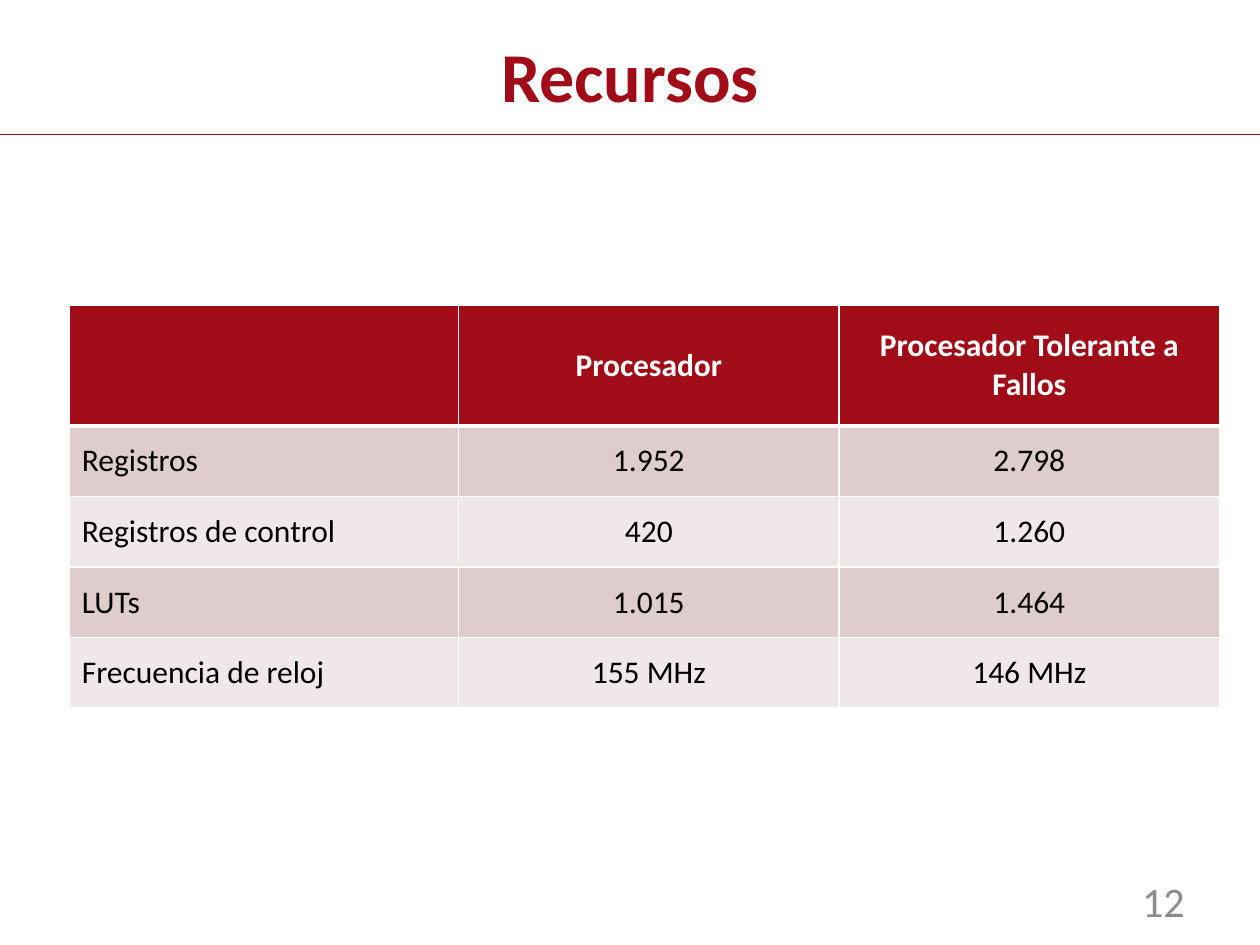
"""Build the slide that compares the resources of two processors."""
from lxml import etree
from pptx import Presentation, util as u
from pptx.dml.color import RGBColor
from pptx.enum import shapes, text
from pptx.oxml.ns import qn

TITLE = "Recursos"
PAGE_NUMBER = "12"
ROWS = [
    ("", "Procesador", "Procesador Tolerante a Fallos"),
    ("Registros", "1.952", "2.798"),
    ("Registros de control", "420", "1.260"),
    ("LUTs", "1.015", "1.464"),
    ("Frecuencia de reloj", "155 MHz", "146 MHz"),
]
COLUMN_WIDTHS = (3.09, 3.02, 3.02)
ROW_HEIGHTS = (0.96,) + (0.56,) * 4

THEME = {
    "font": "Calibri",
    "red": "A00C18", "rule": "A00814", "grey": "8C8C8C",
    "white": "FFFFFF", "black": "000000",
    "bands": ("F0E7E8", "DFCCCC"),
    "title": 40, "number": 24, "cell": 18,
}
ALIGN = text.PP_ALIGN


def write(frame, words, align, size, color, bold=False):
    frame.word_wrap = True
    frame.vertical_anchor = text.MSO_ANCHOR.MIDDLE
    para = frame.paragraphs[0]
    para.alignment = align
    span = para.add_run()
    span.text = words
    formats = {"name": THEME["font"], "size": u.Pt(size), "bold": bold}
    for name, value in formats.items():
        setattr(span.font, name, value)
    span.font.color.rgb = RGBColor.from_string(color)


def add_borders(cell, widths):
    properties = cell._tc.get_or_add_tcPr()
    for position, (side, width) in enumerate(widths.items()):
        line = etree.Element(qn(f"a:ln{side}"), w=str(u.Pt(width)))
        fill = etree.SubElement(line, qn("a:solidFill"))
        etree.SubElement(fill, qn("a:srgbClr"), val=THEME["white"])
        properties.insert(position, line)


def add_title(page):
    title = page.shapes.title
    place = {"left": 0, "top": 0.21, "width": 10, "height": 0.77}
    for name, value in place.items():
        setattr(title, name, u.Inches(value))
    write(title.text_frame, TITLE, ALIGN.CENTER, THEME["title"], THEME["red"], True)


def add_rule(page):
    ends = [u.Inches(value) for value in (0, 1.07, 10, 1.07)]
    rule = page.shapes.add_connector(shapes.MSO_CONNECTOR.STRAIGHT, *ends)
    rule.line.color.rgb = RGBColor.from_string(THEME["rule"])
    rule.line.width = u.Pt(0.75)
    etree.SubElement(rule._element.spPr, qn("a:effectLst"))


def add_resources(page):
    place = (0.55, 2.42, sum(COLUMN_WIDTHS), sum(ROW_HEIGHTS))
    table = page.shapes.add_table(
        len(ROWS), len(COLUMN_WIDTHS), *map(u.Inches, place)).table
    for column, width in zip(table.columns, COLUMN_WIDTHS):
        column.width = u.Inches(width)
    for row, height in zip(table.rows, ROW_HEIGHTS):
        row.height = u.Inches(height)
    for r, row in enumerate(ROWS):
        header = r == 0
        fill = THEME["red"] if header else THEME["bands"][r % 2]
        color = THEME["white"] if header else THEME["black"]
        borders = {"L": 1, "R": 1, "T": 3 if r == 1 else 1, "B": 3 if header else 1}
        for c, words in enumerate(row):
            cell = table.cell(r, c)
            cell.fill.solid()
            cell.fill.fore_color.rgb = RGBColor.from_string(fill)
            cell.vertical_anchor = text.MSO_ANCHOR.MIDDLE
            add_borders(cell, borders)
            if words:
                align = ALIGN.CENTER if c else ALIGN.LEFT
                write(cell.text_frame, words, align, THEME["cell"], color, header)


def add_page_number(page):
    box = page.shapes.add_textbox(*map(u.Inches, (7.17, 6.95, 2.33, 0.4)))
    write(box.text_frame, PAGE_NUMBER, ALIGN.RIGHT, THEME["number"], THEME["grey"])


def main():
    deck = Presentation()
    deck.slide_width, deck.slide_height = u.Inches(10), u.Inches(7.5)
    page = deck.slides.add_slide(deck.slide_layouts[5])
    for add_part in (add_rule, add_title, add_page_number, add_resources):
        add_part(page)
    deck.save("out.pptx")


if __name__ == "__main__":
    main()
